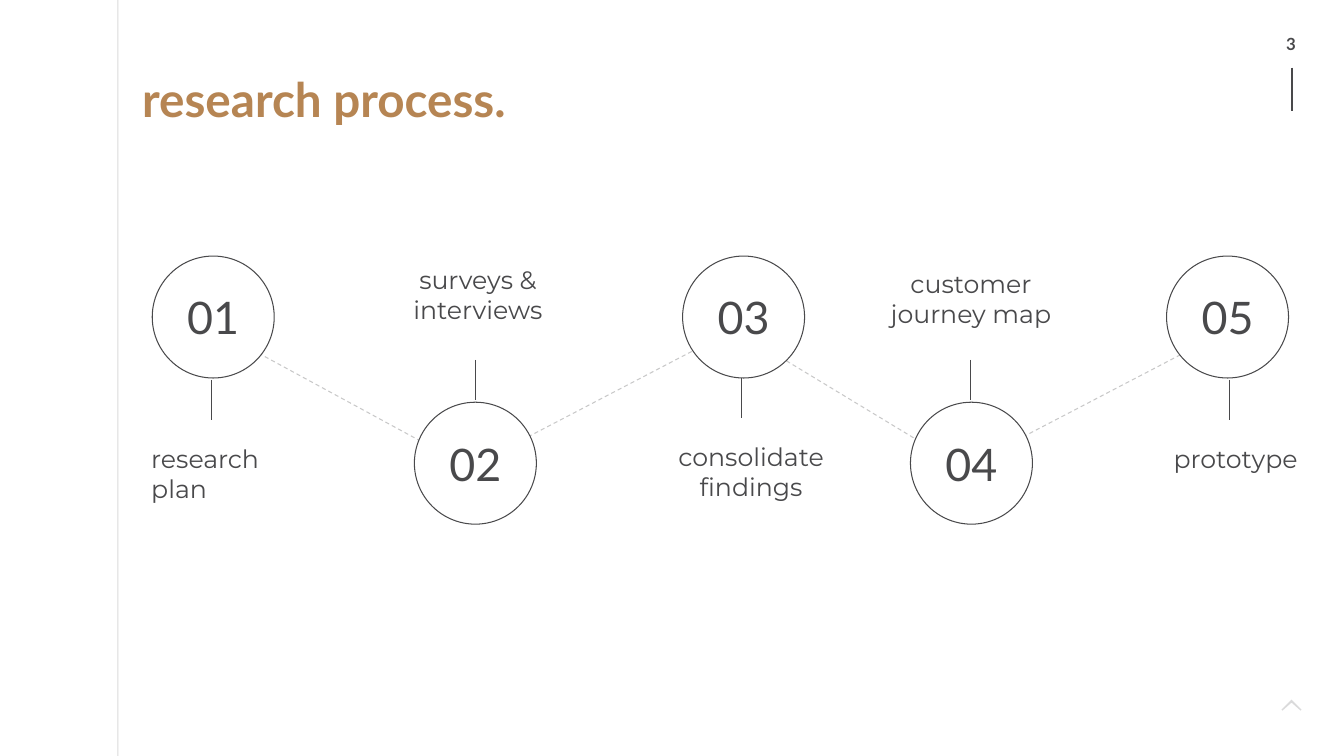
from pptx import Presentation
from pptx.dml.color import RGBColor
from pptx.enum.dml import MSO_LINE
from pptx.enum.shapes import MSO_CONNECTOR as Conn, MSO_SHAPE as Shape
from pptx.enum.text import MSO_ANCHOR as Anchor, MSO_AUTO_SIZE as Auto, PP_ALIGN as Align
from pptx.oxml.ns import qn
from pptx.util import Pt
from lxml.etree import SubElement

PX = 9144  # EMU in one px, 100 px to the inch
WIDE, HIGH = 1333, 750
INK = RGBColor(0x49, 0x49, 0x4B)
GOLD = RGBColor(0xB6, 0x85, 0x53)
WHITE = RGBColor(0xFF, 0xFF, 0xFF)

# Content
TITLE = "research process."
PAGE = "3"
DISC = 121
# number, disc left and top, tick x and top, label, label box, alignment
STEPS = [
    ("01", (151, 254), (210, 377), "research plan", (150, 435, 125, 26), Align.LEFT),
    ("02", (411, 399), (472, 357), "surveys & interviews", (387, 257, 174, 26), Align.CENTER),
    ("03", (677, 254), (735, 375), "consolidate findings", (651, 433, 188, 26), Align.CENTER),
    ("04", (903, 399), (963, 357), "customer journey map", (869, 261, 188, 26), Align.CENTER),
    ("05", (1157, 254), (1219, 377), "prototype", (1150, 435, 151, 26), Align.CENTER),
]
TICK = 40
LINKS = [(206, 323, 440, 450), (511, 440, 720, 331),
         (780, 358, 932, 450), (1002, 440, 1211, 331)]
ARROW = [(1281, 694), (1291, 704), (1290, 705), (1281, 697), (1272, 705), (1271, 704)]

deck = Presentation()
deck.slide_width, deck.slide_height = WIDE * PX, HIGH * PX
slide = deck.slides.add_slide(deck.slide_layouts[5])
shapes = slide.shapes


def emu(box):
    return [n * PX for n in box]


def fade(fill, part):
    """Set the opacity of a solid fill, in percent."""
    color = fill._xPr.find(qn("a:solidFill"))[0]
    SubElement(color, qn("a:alpha")).set("val", str(part * 1000))


def rule(ends, width=0.75, part=100, dash=None):
    line = shapes.add_connector(Conn.STRAIGHT, *emu(ends))
    line.line.width = Pt(width)
    line.line.color.rgb = INK
    if part < 100:
        fade(line.line.fill, part)
    if dash:
        line.line.dash_style = dash
    SubElement(line._element.spPr, qn("a:effectLst"))


def write(shape, text, size, face, align=Align.CENTER, anchor=Anchor.MIDDLE,
          color=INK, bold=False, pad=(0, 5)):
    frame = shape.text_frame
    frame.text = text
    frame.word_wrap = True
    frame.auto_size = Auto.NONE
    frame.vertical_anchor = anchor
    frame.margin_left = frame.margin_right = pad[0] * PX
    frame.margin_top = frame.margin_bottom = pad[1] * PX
    para = frame.paragraphs[0]
    para.alignment = align
    font = para.runs[0].font
    font.size, font.name, font.bold = Pt(size), face, bold
    font.color.rgb = color
    return para


# Page frame: margin line, page number, up arrow
rule((117, 0, 117, HIGH), part=20)
rule((1281, 67, 1281, 110), width=1.5)
write(shapes.add_textbox(*emu((1245, 26, 71, 36))), PAGE, 12, "Lato",
      bold=True, pad=(13, 7))
pen = shapes.build_freeform(*ARROW[0], scale=PX)
pen.add_line_segments(ARROW[1:], close=True)
arrow = pen.convert_to_shape()
arrow.shadow.inherit = False
arrow.fill.solid()
arrow.fill.fore_color.rgb = INK
fade(arrow.fill, 20)
arrow.line.fill.background()

# Title
title = shapes.title
title.left, title.top, title.width, title.height = emu((141, 39, 657, 125))
write(title, TITLE, 34, "Lato", Align.LEFT, color=GOLD, bold=True).line_spacing = 0.9

# Dashed links, behind the discs
for link in LINKS:
    rule(link, part=30, dash=MSO_LINE.DASH)

# Steps
for num, spot, (x, y), label, box, align in STEPS:
    disc = shapes.add_shape(Shape.OVAL, *emu((*spot, DISC, DISC)))
    disc.shadow.inherit = False
    disc.fill.solid()
    disc.fill.fore_color.rgb = WHITE
    disc.line.color.rgb = INK
    disc.line.width = Pt(0.75)
    write(disc, num, 32, "Lato", pad=(0, 0))
    rule((x, y, x, y + TICK))
    write(shapes.add_textbox(*emu(box)), label, 18, "Montserrat", align, Anchor.TOP)

deck.save("out.pptx")
